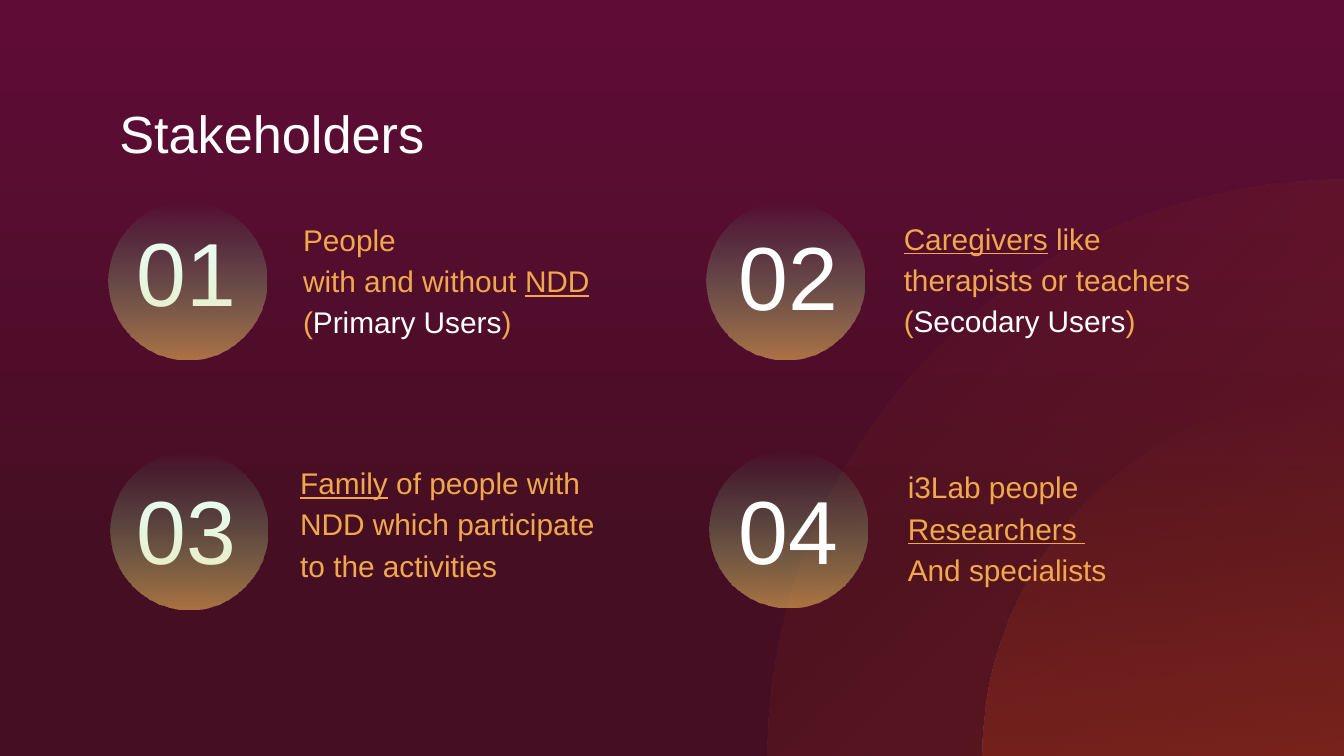
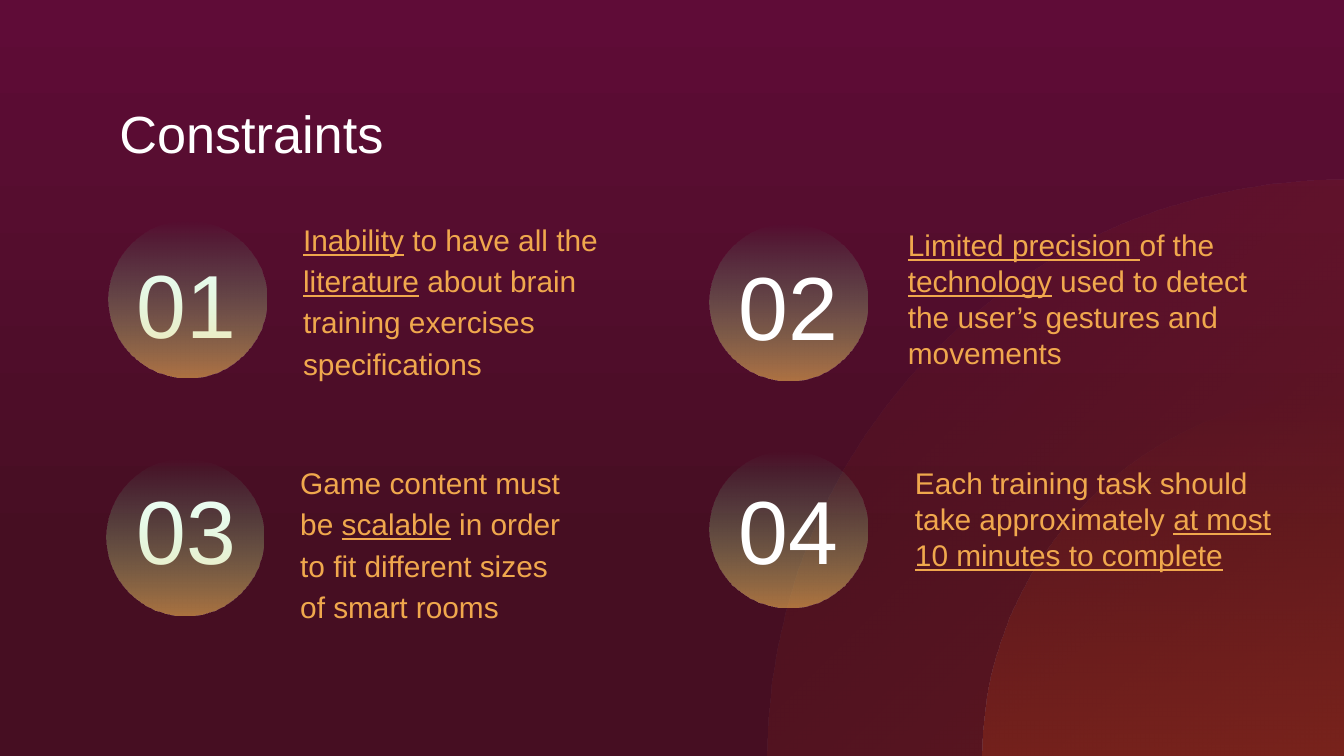
"""Build the Stakeholders and Constraints slides."""
import dataclasses

import lxml.etree
import pptx
import pptx.dml.color
import pptx.enum.shapes
import pptx.enum.text
import pptx.oxml.ns
import pptx.util

Pt = pptx.util.Pt
qn = pptx.oxml.ns.qn
Shape = pptx.enum.shapes.MSO_SHAPE
Anchor = pptx.enum.text.MSO_ANCHOR
Align = pptx.enum.text.PP_ALIGN
AutoSize = pptx.enum.text.MSO_AUTO_SIZE


@dataclasses.dataclass(frozen=True)
class Theme:
    font: str = "Arial"
    white: str = "FFFFFF"
    amber: str = "F0A84D"
    rust: str = "9C3218"
    plum: str = "5F0C37"
    wine: str = "460E22"
    gold: str = "FEC659"
    mint: str = "4AFFC3"
    title_size: int = 28
    number_size: int = 48
    body_size: int = 16


THEME = Theme()
WIDTH, HEIGHT = 720, 405
CIRCLE = 84.4
NUMBER_SIZE = (85.7, 87.1)
NUMBER_LEFTS = (56.9, 379.4)
TITLE_BOX = (56.9, 46.8, 295.2, 53.3)
WEDGES = [(308.6, 30, 135), (193.6, 42, 90)]
HANGING = {"margin": 36, "indent": -24, "spacing": 1.15, "inset": 7.2}

PLAIN, LINK, BRIGHT = "plain", "underlined", "white"

SLIDES = [
    ("Stakeholders", [
        {"circle": (58.3, 108), "number_top": 101.2, "box": (143.3, 108.7, 216.7, 87.1),
         "layout": HANGING, "paras": [
            [("People", PLAIN)],
            [("with and without ", PLAIN), ("NDD", LINK)],
            [("(", PLAIN), ("Primary Users", BRIGHT), (")", PLAIN)]]},
        {"circle": (378.7, 108), "number_top": 103.7, "box": (465.1, 108, 220.3, 87.1),
         "layout": HANGING, "paras": [
            [("Caregivers", LINK), (" like", PLAIN)],
            [("therapists or teachers", PLAIN)],
            [("(", PLAIN), ("Secodary Users", BRIGHT), (")", PLAIN)]]},
        {"circle": (59, 241.9), "number_top": 239.8, "box": (141.8, 239, 218.2, 87.1),
         "layout": HANGING, "paras": [
            [("Family", LINK), (" of people with", PLAIN)],
            [("NDD which participate", PLAIN)],
            [("to the activities", PLAIN)]]},
        {"circle": (380.2, 241.2), "number_top": 239.8, "box": (467.3, 241.2, 218.2, 87.1),
         "layout": HANGING, "paras": [
            [("i3Lab people", PLAIN)],
            [("Researchers ", LINK)],
            [("And specialists", PLAIN)]]},
    ]),
    ("Constraints", [
        {"circle": (58.3, 118.1), "number_top": 118.4, "box": (143.3, 108.7, 216.7, 94.3),
         "layout": HANGING, "paras": [
            [("Inability", LINK), (" to have all the", PLAIN)],
            [("literature", LINK), (" about brain", PLAIN)],
            [("training exercises", PLAIN)],
            [("specifications", PLAIN)]]},
        {"circle": (380.2, 119.5), "number_top": 119.5, "box": (467.3, 118.1, 226.8, 85),
         "layout": {"margin": 12, "grow": True}, "paras": [
            [("Limited precision ", LINK), ("of the ", PLAIN), ("technology", LINK),
             (" used to detect the user’s gestures and movements", PLAIN)]]},
        {"circle": (56.9, 245.5), "number_top": 239.8, "box": (141.8, 239, 218.2, 94.3),
         "layout": HANGING, "paras": [
            [("Game content must", PLAIN)],
            [("be ", PLAIN), ("scalable", LINK), (" in order", PLAIN)],
            [("to fit different sizes", PLAIN)],
            [("of smart rooms", PLAIN)]]},
        {"circle": (380.2, 241.2), "number_top": 239.8, "box": (483.1, 245.5, 211, 85),
         "layout": {"grow": True}, "paras": [
            [("Each training task should take approximately ", PLAIN),
             ("at most 10 minutes to complete", LINK)]]},
    ]),
]


def rgb(color):
    return pptx.dml.color.RGBColor.from_string(color)


def set_gradient(fill, stops, angle):
    fill.gradient()
    fill.gradient_angle = angle
    for stop, (position, color) in zip(fill.gradient_stops, stops):
        stop.position = position
        stop.color.rgb = rgb(color)


def add_glow(page, kind, frame, colors, opacity, angle):
    shape = page.shapes.add_shape(kind, *map(Pt, frame))
    shape.shadow.inherit = False
    shape.line.fill.background()
    set_gradient(shape.fill, zip((0, 1), colors), angle)
    for color, percent in zip(shape._element.spPr.iter(qn("a:srgbClr")), (opacity, 0)):
        lxml.etree.SubElement(color, qn("a:alpha")).set("val", str(percent * 1000))


def add_text(page, frame, paras, size, color, align=Align.LEFT, anchor=Anchor.TOP,
             inset=None, margin=0, indent=0, spacing=None, grow=False):
    box = page.shapes.add_textbox(*map(Pt, frame))
    text = box.text_frame
    text.word_wrap = True
    text.vertical_anchor = anchor
    text.auto_size = AutoSize.SHAPE_TO_FIT_TEXT if grow else AutoSize.NONE
    if inset is not None:
        text.margin_left = text.margin_right = Pt(inset)
        text.margin_top = text.margin_bottom = Pt(inset)
    for index, spans in enumerate(paras):
        para = text.add_paragraph() if index else text.paragraphs[0]
        para.alignment = align
        if spacing:
            para.line_spacing = spacing
        properties = para._p.get_or_add_pPr()
        properties.set("marL", str(Pt(margin)))
        properties.set("indent", str(Pt(indent)))
        for words, style in spans:
            span = para.add_run()
            span.text = words
            span.font.name = THEME.font
            span.font.size = Pt(size)
            span.font.underline = style == LINK
            span.font.color.rgb = rgb(THEME.white if style == BRIGHT else color)


def add_badge(page, index, item):
    column = index % 2

    def draw_circle():
        add_glow(page, Shape.OVAL, (*item["circle"], CIRCLE, CIRCLE),
                 (THEME.gold, THEME.mint), 55, 90)

    def draw_number():
        add_text(page, (NUMBER_LEFTS[column], item["number_top"], *NUMBER_SIZE),
                 [[(f"{index + 1:02}", PLAIN)]], THEME.number_size, THEME.white,
                 Align.CENTER, Anchor.MIDDLE, 7.2)

    layers = (draw_circle, draw_number) if column else (draw_number, draw_circle)
    for draw in layers:
        draw()


def build_page(deck, title, items):
    page = deck.slides.add_slide(deck.slide_layouts[6])
    set_gradient(page.background.fill, [(0, THEME.plum), (0.74, THEME.wine)], 270)
    for side, opacity, angle in WEDGES:
        add_glow(page, Shape.PIE_WEDGE, (WIDTH - side, HEIGHT - side, side, side),
                 (THEME.rust, THEME.rust), opacity, angle)
    add_text(page, TITLE_BOX, [[(title, PLAIN)]], THEME.title_size, THEME.white, inset=7.2)
    for index, item in enumerate(items):
        add_badge(page, index, item)
        add_text(page, item["box"], item["paras"], THEME.body_size, THEME.amber,
                 **item["layout"])


def main():
    deck = pptx.Presentation()
    deck.slide_width, deck.slide_height = Pt(WIDTH), Pt(HEIGHT)
    for title, items in SLIDES:
        build_page(deck, title, items)
    deck.save("out.pptx")


if __name__ == "__main__":
    main()
